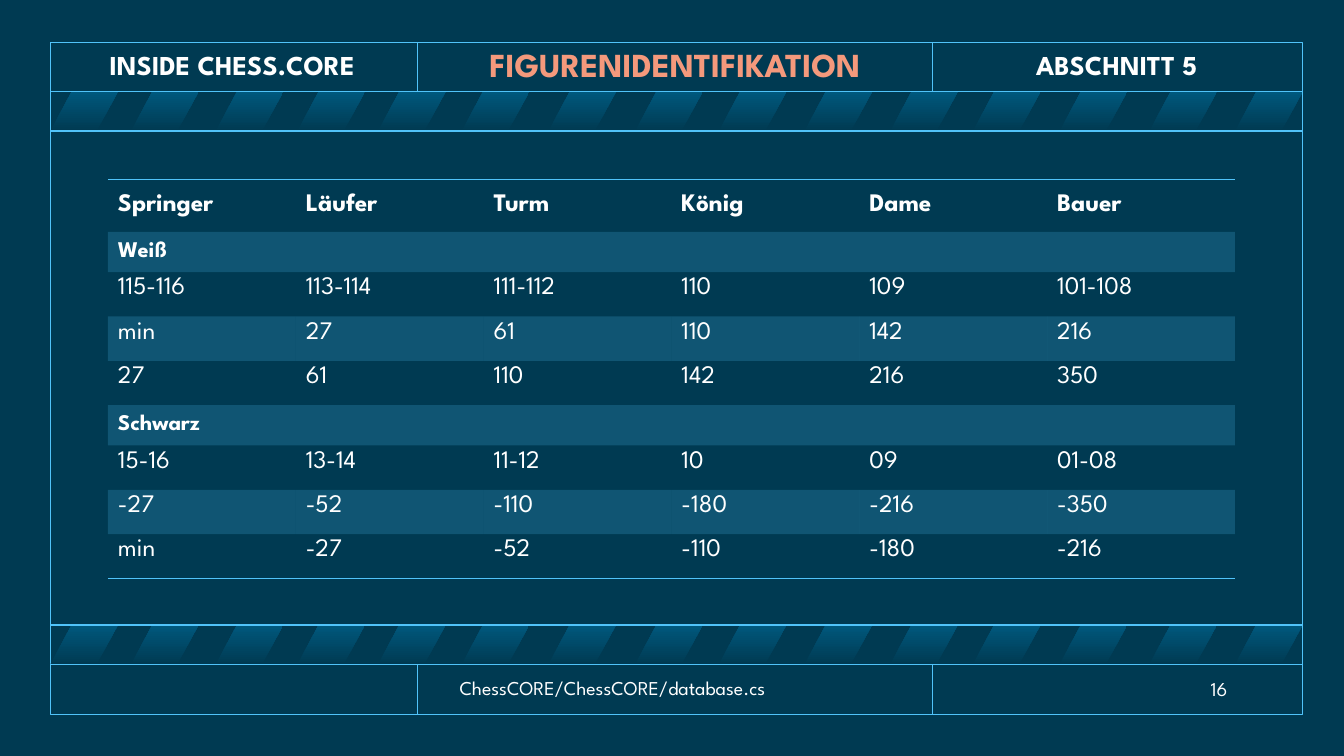
from dataclasses import dataclass

from lxml import etree
from pptx import Presentation
from pptx.dml.color import RGBColor
from pptx.enum.shapes import MSO_CONNECTOR, MSO_SHAPE
from pptx.enum.text import MSO_ANCHOR, PP_ALIGN
from pptx.oxml.ns import qn
from pptx.util import Pt

PX = 9144  # EMU per px, 100 px to the inch
LEFT, CENTER = PP_ALIGN.LEFT, PP_ALIGN.CENTER
TOP, MIDDLE = MSO_ANCHOR.TOP, MSO_ANCHOR.MIDDLE
STRAIGHT = MSO_CONNECTOR.STRAIGHT
RECT, PARALLELOGRAM = MSO_SHAPE.RECTANGLE, MSO_SHAPE.PARALLELOGRAM
NO_GRID_STYLE = "{2D5ABB26-0587-4C30-8999-92F81FD0307C}"


@dataclass(frozen=True)
class Theme:
    font: str = "League Spartan"
    back: str = "003A52"
    stripe: str = "00587D"
    line: str = "51C3F9"
    text: str = "FFFFFF"
    accent: str = "F4997C"
    title: float = 24
    side: float = 19.5
    body: float = 18
    group: float = 16
    small: float = 14
    band_alpha: int = 20


T = Theme()

STRIPE_OFFSETS = (0, 80, 164, 245, 325, 408, 494, 580, 663, 748, 833, 915, 1001, 1090, 1175)
ROW_HEIGHTS = (52, 40, 44, 44, 44, 40, 44, 44, 44)
ROWS = (
    ("Springer", "Läufer", "Turm", "König", "Dame", "Bauer"),
    ("Weiß",),
    ("115-116", "113-114", "111-112", "110", "109", "101-108"),
    ("min", "27", "61", "110", "142", "216"),
    ("27", "61", "110", "142", "216", "350"),
    ("Schwarz",),
    ("15-16", "13-14", "11-12", "10", "09", "01-08"),
    ("-27", "-52", "-110", "-180", "-216", "-350"),
    ("min", "-27", "-52", "-110", "-180", "-216"),
)


def rgb(color):
    return RGBColor.from_string(color)


def emu(*lengths):
    return [n * PX for n in lengths]


def write(tf, text, size=T.body, color=T.text, bold=False, align=LEFT, spacing=None):
    p = tf.paragraphs[0]
    p.alignment = align
    if spacing:
        p.line_spacing = spacing
    r = p.add_run()
    r.text = text
    r.font.name, r.font.size, r.font.bold = T.font, Pt(size), bold
    r.font.color.rgb = rgb(color)


def add_label(s, box, text, anchor=TOP, **fmt):
    sp = s.shapes.add_textbox(*emu(*box))
    tf = sp.text_frame
    tf.word_wrap = True
    tf.vertical_anchor = anchor
    write(tf, text, **fmt)
    return sp


def add_line(s, x1, y1, x2, y2):
    cx = s.shapes.add_connector(STRAIGHT, *emu(x1, y1, x2, y2))
    cx.line.color.rgb = rgb(T.line)
    cx.line.width = Pt(1)
    etree.SubElement(cx._element.spPr, qn("a:effectLst"))


def add_frame(s, box):
    """Outer frame with the column rules of the header and footer."""
    x, y, w, h = box
    sp = s.shapes.add_shape(RECT, *emu(*box))
    sp.shadow.inherit = False
    sp.fill.background()
    sp.line.color.rgb = rgb(T.line)
    sp.line.width = Pt(1)
    for rule_x in (x + 364, x + 875):
        for rule_y in (y, y + h - 50):
            add_line(s, rule_x, rule_y, rule_x, rule_y + 49)


def add_stripes(s, box):
    """Band of slanted stripes between two lines."""
    x, y, w, h = box
    for offset in STRIPE_OFFSETS:
        sp = s.shapes.add_shape(PARALLELOGRAM, *emu(x + offset, y, 67, h))
        sp.adjustments[0] = 0.54
        sp.shadow.inherit = False
        sp.line.fill.background()
        sp.fill.gradient()
        sp.fill.gradient_angle = 90
        for stop, color, position in zip(sp.fill.gradient_stops, (T.back, T.stripe), (0, 1)):
            stop.color.rgb = rgb(color)
            stop.position = position
    for line_y in (y, y + h):
        add_line(s, x, line_y, x + w, line_y)


def set_borders(cell, sides):
    tcPr = cell._tc.get_or_add_tcPr()
    for i, side in enumerate("LRTB"):
        ln = etree.Element(qn(f"a:ln{side}"), w=str(Pt(1)))
        if side in sides:
            fill = etree.SubElement(ln, qn("a:solidFill"))
            etree.SubElement(fill, qn("a:srgbClr"), val=T.line)
        else:
            etree.SubElement(ln, qn("a:noFill"))
        tcPr.insert(i, ln)


def set_band(cell, banded):
    if not banded:
        cell.fill.background()
        return
    cell.fill.solid()
    cell.fill.fore_color.rgb = rgb(T.line)
    clr = cell._tc.tcPr.find(".//" + qn("a:srgbClr"))
    etree.SubElement(clr, qn("a:alpha"), val=str(T.band_alpha * 1000))


def add_piece_table(s, box):
    """Identifiers of the pieces, grouped by side."""
    n_cols = len(ROWS[0])
    table = s.shapes.add_table(len(ROWS), n_cols, *emu(*box)).table
    table._tbl.tblPr.find(qn("a:tableStyleId")).text = NO_GRID_STYLE
    table.first_row = table.horz_banding = False
    for col in table.columns:
        col.width = box[2] * PX // n_cols
    for i, (row, height) in enumerate(zip(ROWS, ROW_HEIGHTS)):
        table.rows[i].height = height * PX
        group = len(row) == 1
        heading = group or i == 0
        sides = "TB" if i == 0 else "B" if i == len(ROWS) - 1 else ""
        if group:
            table.cell(i, 0).merge(table.cell(i, n_cols - 1))
        for j in range(n_cols):
            cell = table.cell(i, j)
            set_band(cell, i % 2 == 1)
            set_borders(cell, sides)
            if j < len(row):
                cell.vertical_anchor = MIDDLE if heading else TOP
                write(cell.text_frame, row[j], bold=heading,
                      size=T.group if group else T.body)


def add_header(s, box):
    x, y, w, h = box
    fmt = dict(anchor=MIDDLE, bold=True, align=CENTER, spacing=0.9)
    add_label(s, (x - 2, y, 365, h), "INSIDE CHESS.CORE", size=T.side, **fmt)
    add_label(s, (x + 365, y + 2, 509, h - 3), "FIGURENIDENTIFIKATION",
              size=T.title, color=T.accent, **fmt)
    add_label(s, (x + 875, y, 365, h), "ABSCHNITT 5", size=T.side, **fmt)


def add_footer(s, box):
    x, y, w, h = box
    sp = add_label(s, (x + 396, y + 7, 478, 34), "ChessCORE/ChessCORE/database.cs", size=T.small)
    sp.line.color.rgb = rgb(T.back)
    sp.line.width = Pt(0.75)
    add_label(s, (x + 1141, y + 8, 92, 30), "16", size=T.small)


def main():
    prs = Presentation()
    prs.slide_width, prs.slide_height = emu(1333, 750)
    s = prs.slides.add_slide(prs.slide_layouts[6])
    s.background.fill.solid()
    s.background.fill.fore_color.rgb = rgb(T.back)

    add_frame(s, (50, 42, 1242, 667))
    add_stripes(s, (50, 91, 1241, 39))
    add_stripes(s, (50, 620, 1241, 39))
    add_piece_table(s, (107, 178, 1118, 394))
    add_header(s, (50, 41, 1242, 50))
    add_footer(s, (50, 659, 1242, 50))
    prs.save("out.pptx")


if __name__ == "__main__":
    main()
